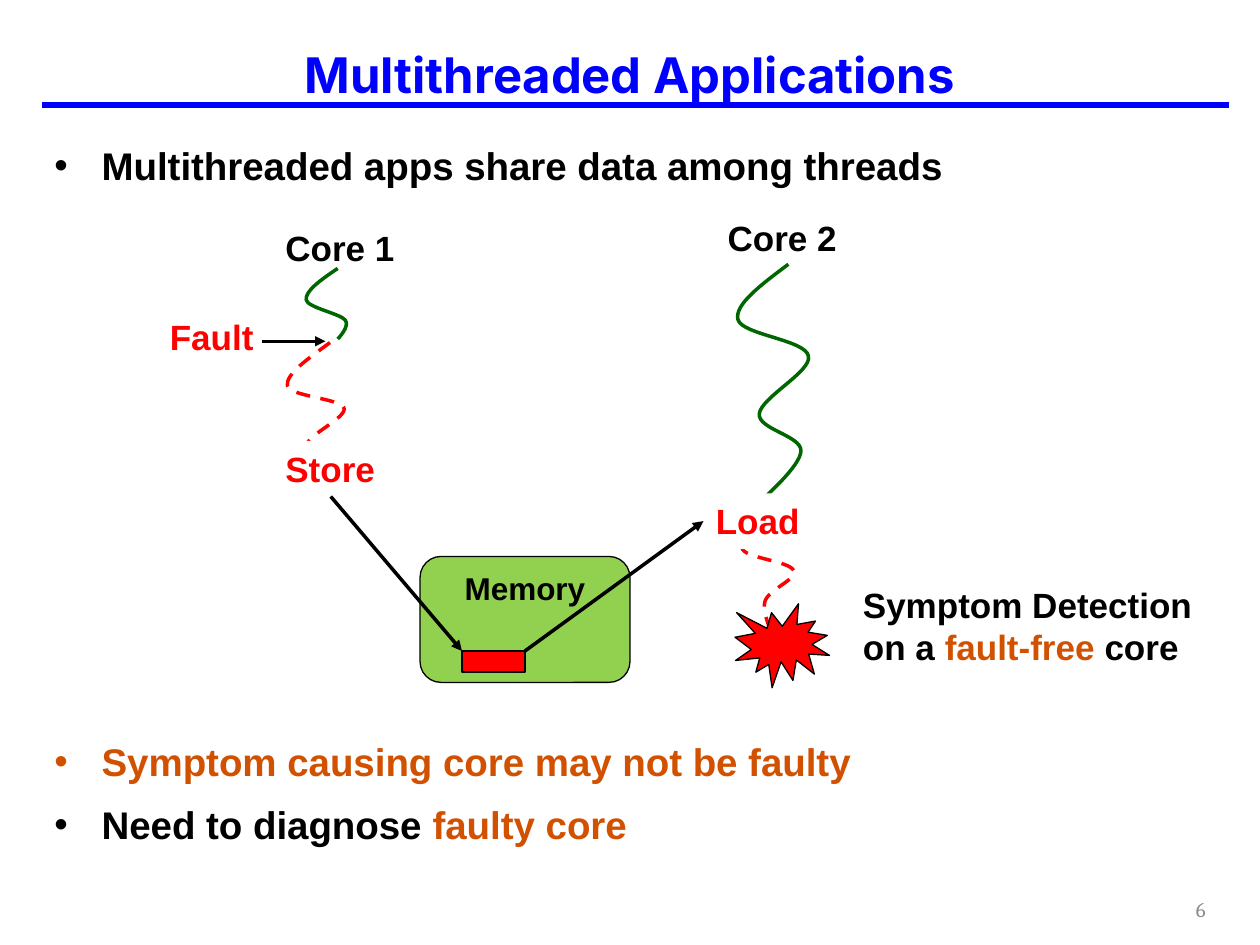
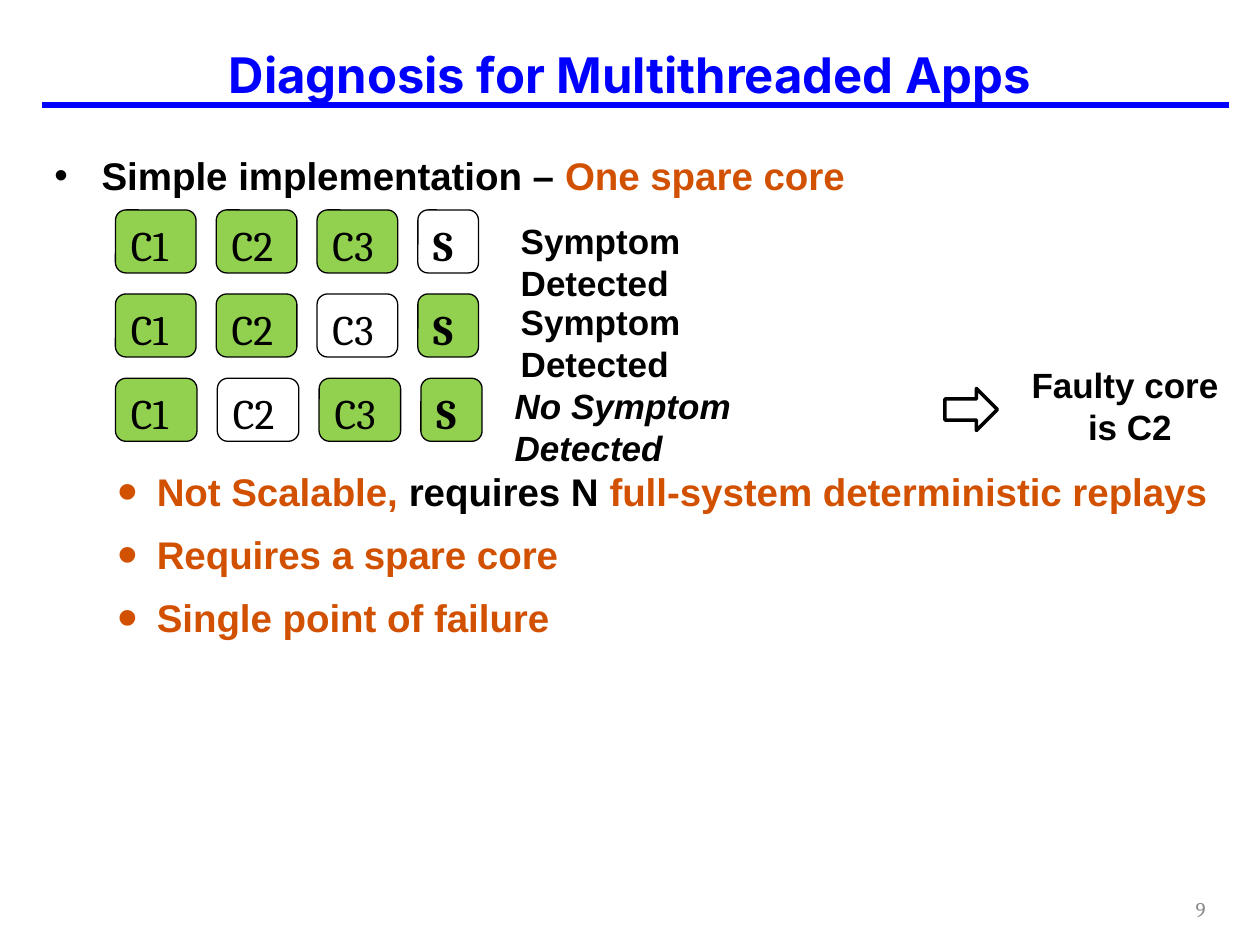
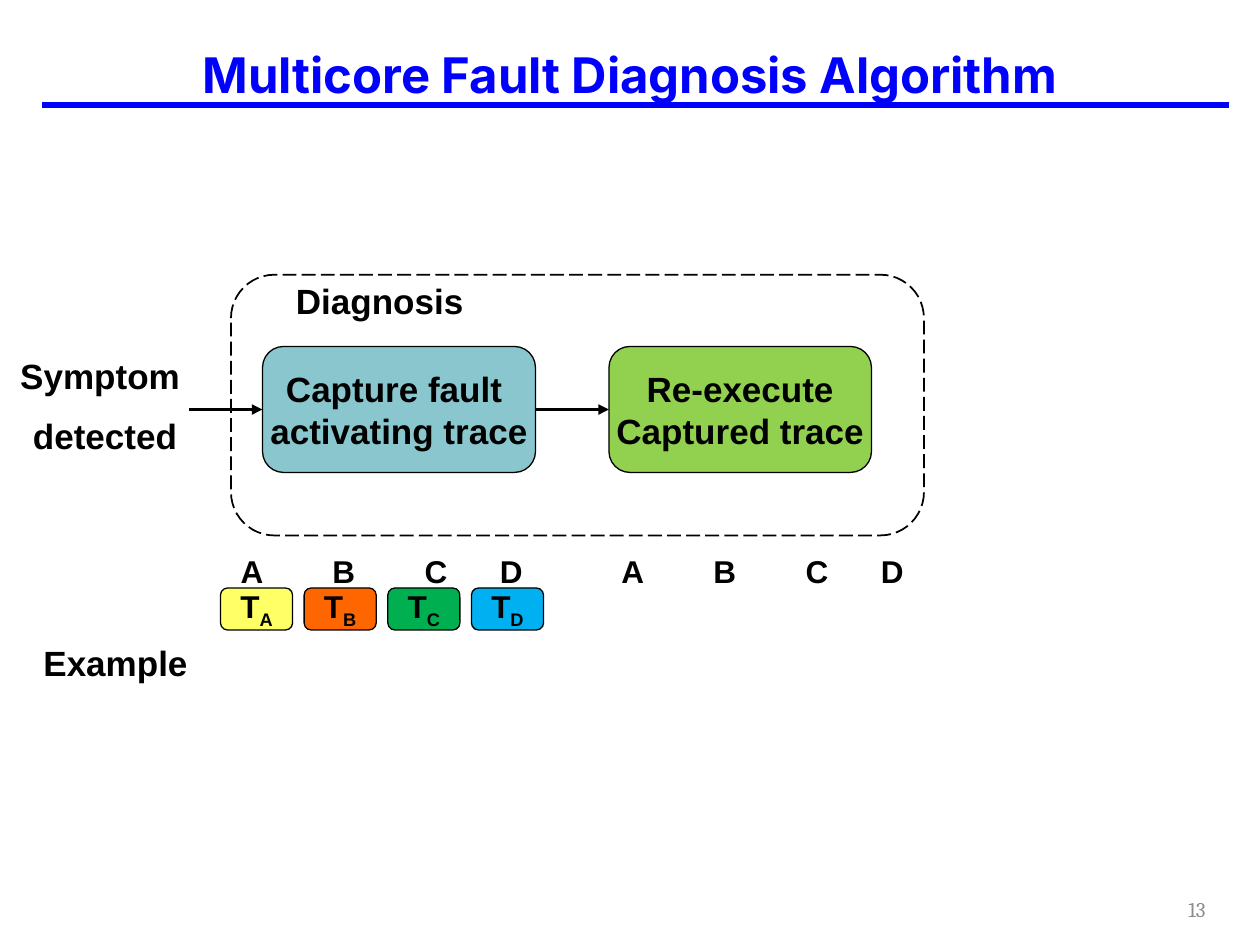
import pptx
import pptx.util
import pptx.dml.color
import pptx.enum.dml
import pptx.enum.shapes
import pptx.enum.text
import pptx.oxml
import pptx.oxml.ns
import lxml.etree

Pt = pptx.util.Pt
KIND = pptx.enum.shapes.MSO_SHAPE
DASH = pptx.enum.dml.MSO_LINE
ALIGN = pptx.enum.text.PP_ALIGN
ANCHOR = pptx.enum.text.MSO_ANCHOR

BLUE, BLACK, GREY, WHITE = "0000FF", "000000", "8C8C8C", "FFFFFF"
RED, RUST, GREEN, LIME, TEAL = "FF0000", "D15100", "006600", "92D050", "8AC6CD"


# ---- Helpers ----
def tint(code):
    return pptx.dml.color.RGBColor.from_string(code)


def child(node, tag, **attrs):
    part = lxml.etree.SubElement(node, pptx.oxml.ns.qn("a:" + tag))
    for key, val in attrs.items():
        part.set(key, str(val))
    return part


def put(frame, paras, size=20, font="Arial", color=BLACK, bold=True, slant=False,
        align=None, anchor=ANCHOR.TOP, wrap=True, before=None, gap=None, lead=None,
        inset=None, marks=(), tabs=()):
    """Fill a frame; a paragraph is a string or a list of (text, changes) runs.

    The gap is the space before the second paragraph, where it differs.
    """
    frame.word_wrap = wrap
    frame.vertical_anchor = anchor
    if inset:
        frame.margin_left = frame.margin_right = Pt(inset[0])
        frame.margin_top = frame.margin_bottom = Pt(inset[1])
    for i, runs in enumerate(paras):
        para = frame.add_paragraph() if i else frame.paragraphs[0]
        para.alignment = align or ALIGN.LEFT
        if before is not None:
            para.space_before = Pt(gap if gap and i == 1 else before)
        if lead:
            para.line_spacing = lead
        props = para._p.get_or_add_pPr()
        if marks:
            left, hang, scale = marks[min(i, len(marks) - 1)]
            props.set("marL", str(Pt(left)))
            props.set("indent", str(-Pt(hang)))
            if scale != 100:
                para.level = 1
                child(props, "buSzPct", val=scale * 1000)
            child(props, "buFont", typeface="Arial")
            child(props, "buChar", char="•")
        if tabs:
            stops = child(props, "tabLst")
            for pos in tabs:
                child(stops, "tab", pos=Pt(pos), algn="l")
        for text, diff in [(runs, {})] if isinstance(runs, str) else runs:
            run = para.add_run()
            run.text = text
            run.font.size, run.font.name = Pt(size), font
            run.font.bold, run.font.italic = bold, slant
            run.font.color.rgb = tint(diff.get("color", color))
            if "base" in diff:
                run._r.get_or_add_rPr().set("baseline", str(diff["base"] * 1000))


def label(slide, box, *paras, **fmt):
    item = slide.shapes.add_textbox(*map(Pt, box))
    put(item.text_frame, paras, **fmt)


def stroke(item, color, width, dash=None, head=False):
    item.line.color.rgb = tint(color)
    item.line.width = Pt(width)
    if dash:
        item.line.dash_style = dash
    if head:
        child(item.get_or_add_ln(), "tailEnd", type="triangle")


def block(slide, kind, box, fill=None, line=BLACK, width=0.75, dash=None,
          paras=(), **fmt):
    item = slide.shapes.add_shape(kind, *map(Pt, box))
    item.shadow.inherit = False
    if fill:
        item.fill.solid()
        item.fill.fore_color.rgb = tint(fill)
    else:
        item.fill.background()
    if line:
        stroke(item, line, width, dash)
    else:
        item.line.fill.background()
    if paras:
        put(item.text_frame, paras, **fmt)
    return item


def link(slide, x1, y1, x2, y2, color=BLACK, width=2, head=True):
    item = slide.shapes.add_connector(
        pptx.enum.shapes.MSO_CONNECTOR.STRAIGHT, *map(Pt, (x1, y1, x2, y2)))
    stroke(item, color, width, head=head)
    child(item._element.spPr, "effectLst")
    return item


def curve(slide, x, y, nodes, color, dash=None, head=False):
    """Draw a chain of cubic curves: a start, then three nodes for each."""
    spots = [(Pt(x + dx), Pt(y + dy)) for dx, dy in nodes]
    pen = slide.shapes.build_freeform(*spots[0])
    pen.add_line_segments(spots[1:], close=False)
    item = pen.convert_to_shape()
    item.shadow.inherit = False
    item.fill.background()
    stroke(item, color, 2, dash, head)
    # Join each three straight steps into one cubic curve
    legs = list(item._element.iter(pptx.oxml.ns.qn("a:lnTo")))
    for i in range(0, len(legs), 3):
        bend = child(legs[i].getparent(), "cubicBezTo")
        for leg in legs[i:i + 3]:
            bend.append(leg[0])
            leg.getparent().remove(leg)


# ---- Shared frame: title, rule, page number ----
def rule(slide, layout):
    line = link(slide, 24, 60, 702, 60, BLUE, 3, head=False)
    layout.shapes._spTree.append(line._element)


def start(deck, title, page):
    slide = deck.slides.add_slide(deck.slide_layouts[5])
    head = slide.shapes.title
    head.left, head.top, head.width, head.height = map(Pt, (0, 12, 720, 60))
    put(head.text_frame, [title], size=28, font="Inter", color=BLUE,
        align=ALIGN.CENTER, anchor=ANCHOR.MIDDLE)
    label(slide, (528, 505, 168, 28.8), page, size=12, font="Cambria",
          color=GREY, bold=False, align=ALIGN.RIGHT, anchor=ANCHOR.MIDDLE)
    return slide


def points(slide, top, gap, *paras, marks=((27, 27, 100),)):
    label(slide, (24, top, 678, 432), *paras, size=22, before=4.4, gap=gap,
          lead=1.2, marks=marks)


# ---- Slide 1: two cores and the memory they share ----
def clean(slide, x, y):
    curve(slide, x, y, [
        (41.8, 31), (26.6, 42.5), (10.8, 54), (13, 62.6),
        (15.1, 71.3), (51.8, 74.2), (53.3, 83.5),
        (55.4, 92.2), (25.9, 107.3), (25.2, 116.6),
        (24.5, 125.3), (49, 128.9), (49, 137.5),
        (49, 146.2), (28.1, 164.2), (23.8, 168.5),
        (19.4, 173.5), (21.6, 170.6), (23.8, 167)], GREEN)
    label(slide, (x, y, 77, 31.7), "Core 2", wrap=False)


def faulty(slide, x, y):
    link(slide, x + 60, y + 69, x + 96, y + 69, width=1.5)
    label(slide, (x, y + 51, 62.6, 31.7), "Fault", color=RED, wrap=False)
    curve(slide, x, y, [
        (103, 27.4), (93.6, 33.8), (84.2, 40.3), (85, 45.4),
        (85.7, 49.7), (104.4, 53.3), (107.3, 56.9),
        (110.2, 60.5), (103, 67.7), (103, 67.7)], GREEN)
    label(slide, (x + 66, y, 77, 31.7), "Core 1", wrap=False)
    curve(slide, x, y, [
        (98.6, 69.8), (85.7, 79.2), (73.4, 87.8), (74.2, 94.3),
        (75.6, 100.8), (104.4, 101.5), (106.6, 107.3),
        (108, 113), (85.7, 122.4), (85, 128.9),
        (83.5, 134.6), (92.2, 139.7), (101.5, 144)], RED, DASH.DASH, True)


def memory(slide, x, y):
    def word(text, dx, dy, wide):
        block(slide, KIND.RECTANGLE, (x + dx, y + dy, wide, 31.7), WHITE, None,
              paras=[text], color=RED, wrap=False)

    word("Store", 0, 0, 66)
    block(slide, KIND.ROUNDED_RECTANGLE, (x + 84, y + 66, 120, 72), LIME,
          paras=["Memory"], size=18, align=ALIGN.CENTER)
    link(slide, x + 33, y + 31.7, x + 108, y + 120)
    block(slide, KIND.RECTANGLE, (x + 108, y + 120, 36, 12), RED)
    curve(slide, x, y, [
        (291.8, 41.8), (279.6, 49), (266.6, 56.2), (268.1, 61.2),
        (268.8, 67), (295.4, 68.4), (297.6, 74.2),
        (299.8, 79.2), (282.5, 85), (281, 92.2),
        (279.6, 99.4), (286.8, 114.5), (289, 118.8),
        (290.4, 123.1), (291.1, 121), (291.8, 118.8)], RED, DASH.DASH)
    word("Load", 246, 30, 62.6)
    block(slide, KIND.EXPLOSION1, (x + 264, y + 93, 54, 48), RED)
    link(slide, x + 144, y + 120, x + 246, y + 45.8)


# ---- Slide 2: one replay row of cores ----
def replay(slide, x, y, idle, text, gap, wide, drop=0, scale=1, slant=False):
    for i, name in enumerate(("C1", "C2", "C3", "S")):
        spare = name == "S"
        box = (x + i * 57.6 * scale, y, (34.6 if spare else 46.1) * scale, 36)
        block(slide, KIND.ROUNDED_RECTANGLE, box, None if name == idle else LIME,
              paras=[name], size=24, font="Cambria", bold=spare)
    label(slide, (x + gap, y + drop, wide, 31.7), text, slant=slant)


# ---- Slide 3: diagnosis flow and example traces ----
def flow(slide, x, y):
    for dx, wide, fill, paras in (
            (18, 156, TEAL, ("Capture fault ", "activating trace")),
            (216, 150, LIME, ("Re-execute", "Captured trace"))):
        link(slide, x + dx - 42, y + 77, x + dx, y + 77)
        block(slide, KIND.FLOWCHART_ALTERNATE_PROCESS, (x + dx, y + 41, wide, 72),
              fill, paras=paras, align=ALIGN.CENTER, anchor=ANCHOR.MIDDLE,
              wrap=False)
    block(slide, KIND.ROUNDED_RECTANGLE, (x, y, 396, 149), width=1,
          dash=DASH.LONG_DASH)
    label(slide, (x + 30, y - 0.8, 146, 18), "Diagnosis")


def traces(slide, x, y):
    fills = ("FFFF66", "FF6600", "00B050", "00B0F0")
    for i, (name, fill) in enumerate(zip("ABCD", fills)):
        block(slide, KIND.ROUNDED_RECTANGLE, (x + i * 47.8, y + 24, 41.2, 24), fill,
              paras=[[("T", {}), (name, {"base": -25})]], size=18,
              align=ALIGN.CENTER, anchor=ANCHOR.MIDDLE)
    for dx in (4.4, 222):
        label(slide, (x + dx, y, 204, 29), "\t".join("ABCD"), size=18,
              tabs=(52.5, 105.2, 148.2))


def aside(slide, x, y, *paras):
    label(slide, (x, y, 168, 35 * len(paras)), *paras, align=ALIGN.CENTER,
          before=10.6, inset=(9, 4.5))


# ---- Build ----
deck = pptx.Presentation()
deck.slide_width, deck.slide_height = Pt(720), Pt(540)
rust = {"color": RUST}

slide = start(deck, "Multithreaded Applications", "6")
rule(slide, deck.slide_layouts[5])
points(slide, 72.4, 309, "Multithreaded apps share data among threads",
       [("Symptom causing core may not be faulty", rust)],
       [("Need to diagnose ", {}), ("faulty core", rust)])
label(slide, (486, 330, 234, 55.7), "Symptom Detection",
      [("on a ", {}), ("fault-free", rust), (" core", {})])
clean(slide, 408.7, 120)
faulty(slide, 90, 126)
memory(slide, 156, 252)

slide = start(deck, "Diagnosis for Multithreaded Apps", "9")
points(slide, 78, 149, [("Simple implementation – ", {}), ("One spare core", rust)],
       [("Not Scalable, ", rust), ("requires N ", {}),
        ("full-system deterministic replays", rust)],
       [("Requires a spare core", rust)], [("Single point of failure", rust)],
       marks=((27, 27, 100), (58.5, 22.5, 150)))
replay(slide, 66, 120, "S", "Symptom Detected", 224.5, 189.4, drop=2)
replay(slide, 66, 168, "C3", "Symptom Detected", 224.5, 189.4)
replay(slide, 66, 216.2, "C2", "No Symptom Detected", 221, 223, scale=1.01,
       slant=True)
label(slide, (582, 204, 127.4, 55.7), "Faulty core ", "is C2", align=ALIGN.CENTER)
arrow = block(slide, KIND.DOWN_ARROW, (543, 219, 24, 30), width=2)
arrow.rotation = 270

slide = start(deck, "Multicore Fault Diagnosis Algorithm", "13")
aside(slide, -24, 198, "Symptom ", "detected")
flow(slide, 132, 157)
traces(slide, 126, 312)
aside(slide, -18, 362, "Example")

deck.save("out.pptx")
